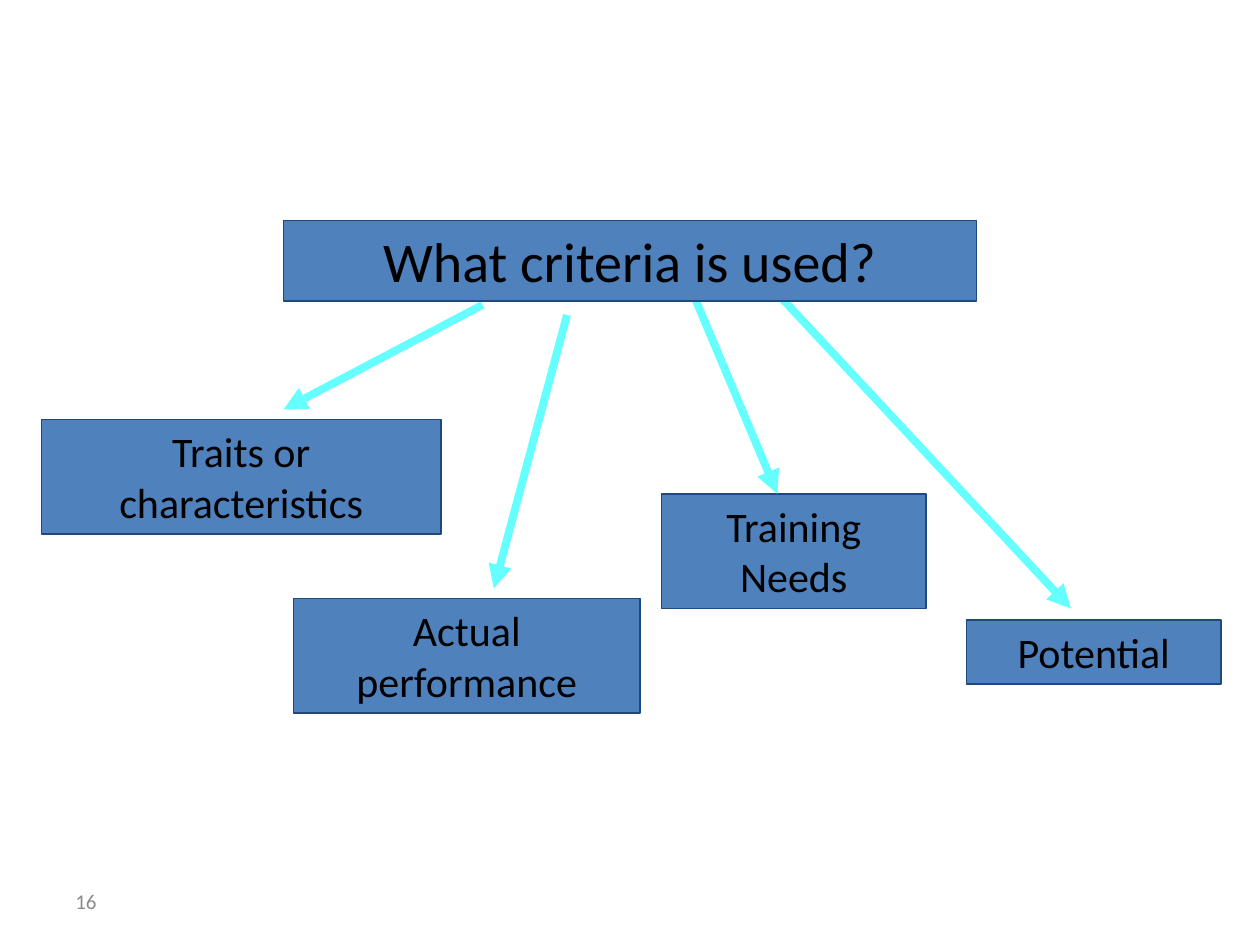
from pptx import Presentation
from pptx.dml.color import RGBColor
from pptx.enum.shapes import MSO_CONNECTOR as Connector, MSO_SHAPE as Shape
from pptx.enum.text import MSO_ANCHOR as Anchor, MSO_AUTO_SIZE as AutoSize, PP_ALIGN as Align
from pptx.oxml.ns import qn
from pptx.util import Inches, Pt
from lxml.etree import SubElement

QUESTION = ("What criteria is used?", (2.25, 1.75, 5.5, 0.64))
CRITERIA = [
    ("Traits or characteristics", (0.33, 3.33, 3.17, 0.91), (3.83, 2.42), (2.25, 3.25)),
    ("Actual performance", (2.33, 4.75, 2.75, 0.91), (4.5, 2.5), (3.92, 4.67)),
    ("Training Needs", (5.25, 3.92, 2.1, 0.91), (5.5, 2.33), (6.17, 3.92)),
    ("Potential", (7.67, 4.92, 2.02, 0.51), (6.17, 2.33), (8.5, 4.83)),
]


def color(hex_value):
    """Turn a hex string into a colour."""
    return RGBColor.from_string(hex_value)


def write(frame, words, size, ink, align, **frame_format):
    """Write one formatted paragraph into a text frame."""
    for key, value in {"word_wrap": True, **frame_format}.items():
        setattr(frame, key, value)
    paragraph = frame.paragraphs[0]
    paragraph.alignment = align
    run = paragraph.add_run()
    run.text = words
    for key, value in {"name": "Calibri", "size": Pt(size)}.items():
        setattr(run.font, key, value)
    run.font.color.rgb = color(ink)


def add_label(slide, words, box, size):
    """Place a filled rectangle with centred words."""
    label = slide.shapes.add_shape(Shape.RECTANGLE, *map(Inches, box))
    label.shadow.inherit = False
    label.fill.solid()
    label.fill.fore_color.rgb = color("4F81BD")
    label.line.color.rgb = color("1F497D")
    label.line.width = Pt(1)
    write(label.text_frame, words, size, "000000", Align.CENTER,
          auto_size=AutoSize.SHAPE_TO_FIT_TEXT, vertical_anchor=Anchor.TOP)


def add_arrow(slide, start, end):
    """Draw an arrow from start to end."""
    arrow = slide.shapes.add_connector(Connector.STRAIGHT, *map(Inches, start + end))
    arrow.line.color.rgb = color("66FFFF")
    arrow.line.width = Pt(4.5)
    SubElement(arrow.line._get_or_add_ln(), qn("a:tailEnd"), type="triangle")
    SubElement(arrow._element.spPr, qn("a:effectLst"))


def add_criteria(slide, criteria):
    """Place the criteria labels and the arrows that lead to them."""
    for words, box, _, _ in criteria:
        add_label(slide, words, box, 24)
    for _, _, start, end in criteria:
        add_arrow(slide, start, end)


def add_page_number(slide, number, box):
    """Place the page number."""
    page_number = slide.shapes.add_textbox(*map(Inches, box))
    write(page_number.text_frame, number, 12, "8C8C8C", Align.LEFT,
          vertical_anchor=Anchor.MIDDLE)


def main():
    """Build and save the slide."""
    deck = Presentation()
    deck.slide_width, deck.slide_height = Inches(10), Inches(7.5)
    slide = deck.slides.add_slide(deck.slide_layouts[6])
    add_page_number(slide, "16", (0.5, 6.95, 2.33, 0.4))
    add_criteria(slide, CRITERIA)
    add_label(slide, *QUESTION, 32)
    deck.save("out.pptx")


if __name__ == "__main__":
    main()
